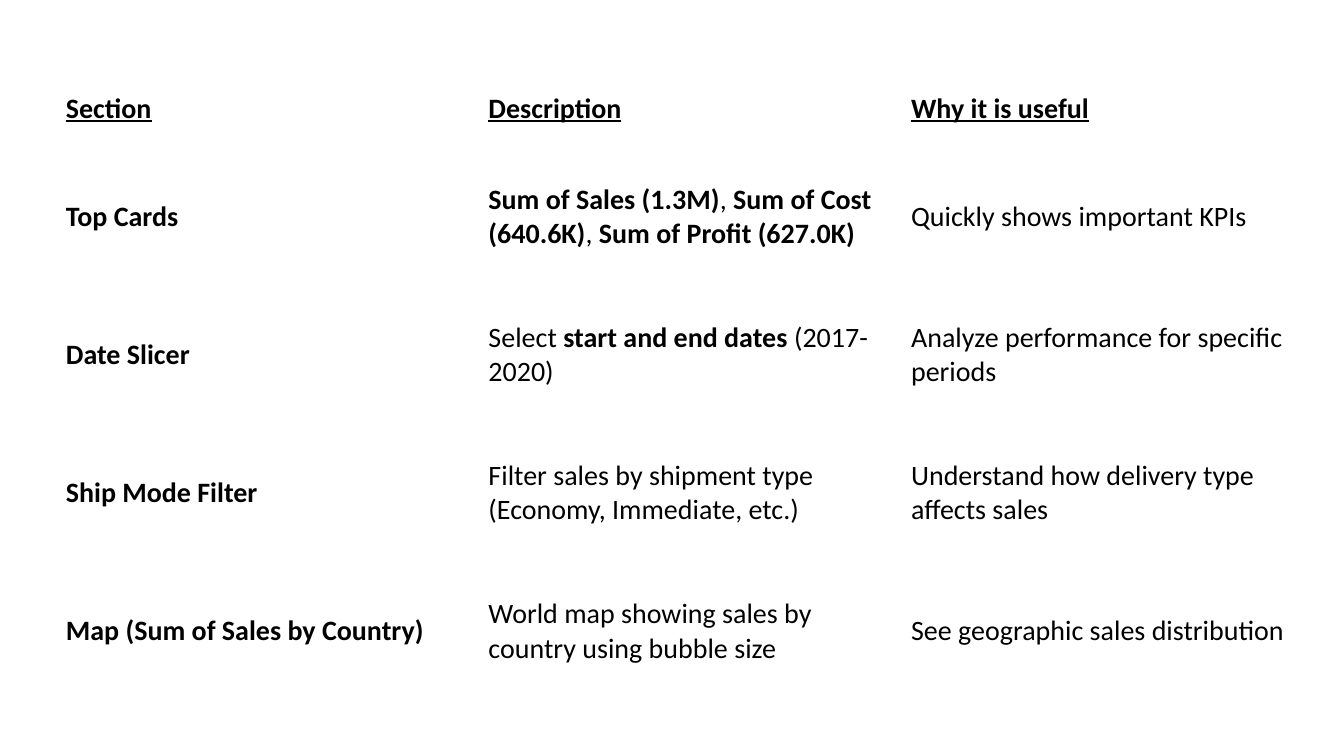
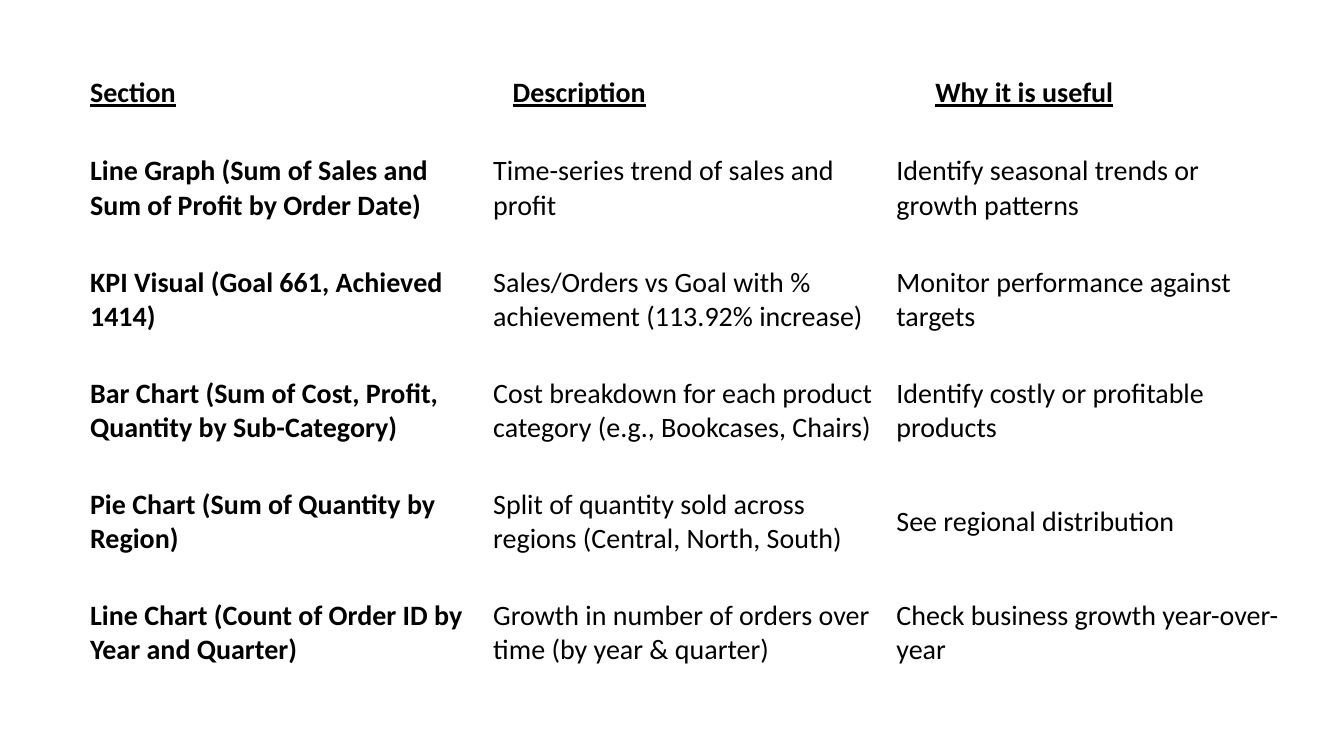
from pptx import Presentation
from pptx.dml.color import RGBColor
from pptx.enum.text import MSO_ANCHOR
from pptx.util import Cm, Pt

MIDDLE = MSO_ANCHOR.MIDDLE
BLACK = RGBColor(0x00, 0x00, 0x00)
WHITE = RGBColor(0xFF, 0xFF, 0xFF)
FONT = "Calibri"
HEAD_WIDTH, HEAD_HEIGHT = 10.65, 1.98
HEADS = ["*Section*", "*Description*", "*Why it is useful*"]

VIEWS = [
    ["*Top Cards*",
     "*Sum of Sales (1.3M)*, *Sum of Cost (640.6K)*, *Sum of Profit (627.0K)*",
     "Quickly shows important KPIs"],
    ["*Date Slicer*", "Select *start and end dates* (2017-2020)",
     "Analyze performance for specific periods"],
    ["*Ship Mode Filter*",
     "Filter sales by shipment type (Economy, Immediate, etc.)",
     "Understand how delivery type affects sales"],
    ["*Map (Sum of Sales by Country)*",
     "World map showing sales by country using bubble size",
     "See geographic sales distribution"],
]
CHARTS = [
    ["*Line Graph (Sum of Sales and Sum of Profit by Order Date)*",
     "Time-series trend of sales and profit",
     "Identify seasonal trends or growth patterns"],
    ["*KPI Visual (Goal 661, Achieved 1414)*",
     "Sales/Orders vs Goal with % achievement (113.92% increase)",
     "Monitor performance against targets"],
    ["*Bar Chart (Sum of Cost, Profit, Quantity by Sub-Category)*",
     "Cost breakdown for each product category (e.g., Bookcases, Chairs)",
     "Identify costly or profitable products"],
    ["*Pie Chart (Sum of Quantity by Region)*",
     "Split of quantity sold across regions (Central, North, South)",
     "See regional distribution"],
    ["*Line Chart (Count of Order ID by Year and Quarter)*",
     "Growth in number of orders over time (by year & quarter)",
     "Check business growth year-over-year"],
]


def write(frame, text, size=20, color=BLACK, line=False):
    """Write text into a frame, with the parts between asterisks in bold."""
    para = frame.paragraphs[0]
    for index, part in enumerate(text.split("*")):
        if part:
            run = para.add_run()
            run.text = part
            font = run.font
            font.name, font.size = FONT, Pt(size)
            font.bold, font.underline = index % 2 == 1, line
            font.color.rgb = color


class Deck:
    """Hold the style and the current slide."""

    def __init__(self):
        """Start an empty wide deck."""
        self.show = Presentation()
        self.show.slide_width, self.show.slide_height = Cm(33.87), Cm(19.05)
        self.slide = None

    def page(self):
        """Add a blank white slide."""
        self.slide = self.show.slides.add_slide(self.show.slide_layouts[6])
        fill = self.slide.background.fill
        fill.solid()
        fill.fore_color.rgb = WHITE

    def grid(self, left, top, width, heights, rows, head=False):
        """Add a plain table, with its first row underlined if it is a head."""
        count = len(rows[0])
        table = self.slide.shapes.add_table(
            len(rows), count, Cm(left), Cm(top),
            Cm(width * count), Cm(sum(heights))).table
        table.first_row = table.horz_banding = False
        for column in table.columns:
            column.width = Cm(width)
        for y, (height, row) in enumerate(zip(heights, rows)):
            table.rows[y].height = Cm(height)
            for x, text in enumerate(row):
                self.cell(table.cell(y, x), text, head and y == 0)

    def cell(self, cell, text, line):
        """Clear the fill of a cell and write its text."""
        cell.fill.background()
        cell.vertical_anchor = MIDDLE
        cell.margin_left = cell.margin_right = Cm(0.19)
        cell.margin_top = cell.margin_bottom = Cm(0.1)
        write(cell.text_frame, text, line=line)


def main():
    """Build both slides and save them."""
    deck = Deck()
    deck.page()
    deck.grid(1.47, 1.75, HEAD_WIDTH, [HEAD_HEIGHT] + [3.48] * len(VIEWS),
              [HEADS] + VIEWS, head=True)
    deck.page()
    deck.grid(2.08, 3.35, 10.16, [2.8] * len(CHARTS), CHARTS)
    deck.grid(2.08, 1.35, HEAD_WIDTH, [HEAD_HEIGHT], [HEADS], head=True)
    deck.show.save("out.pptx")


if __name__ == "__main__":
    main()
